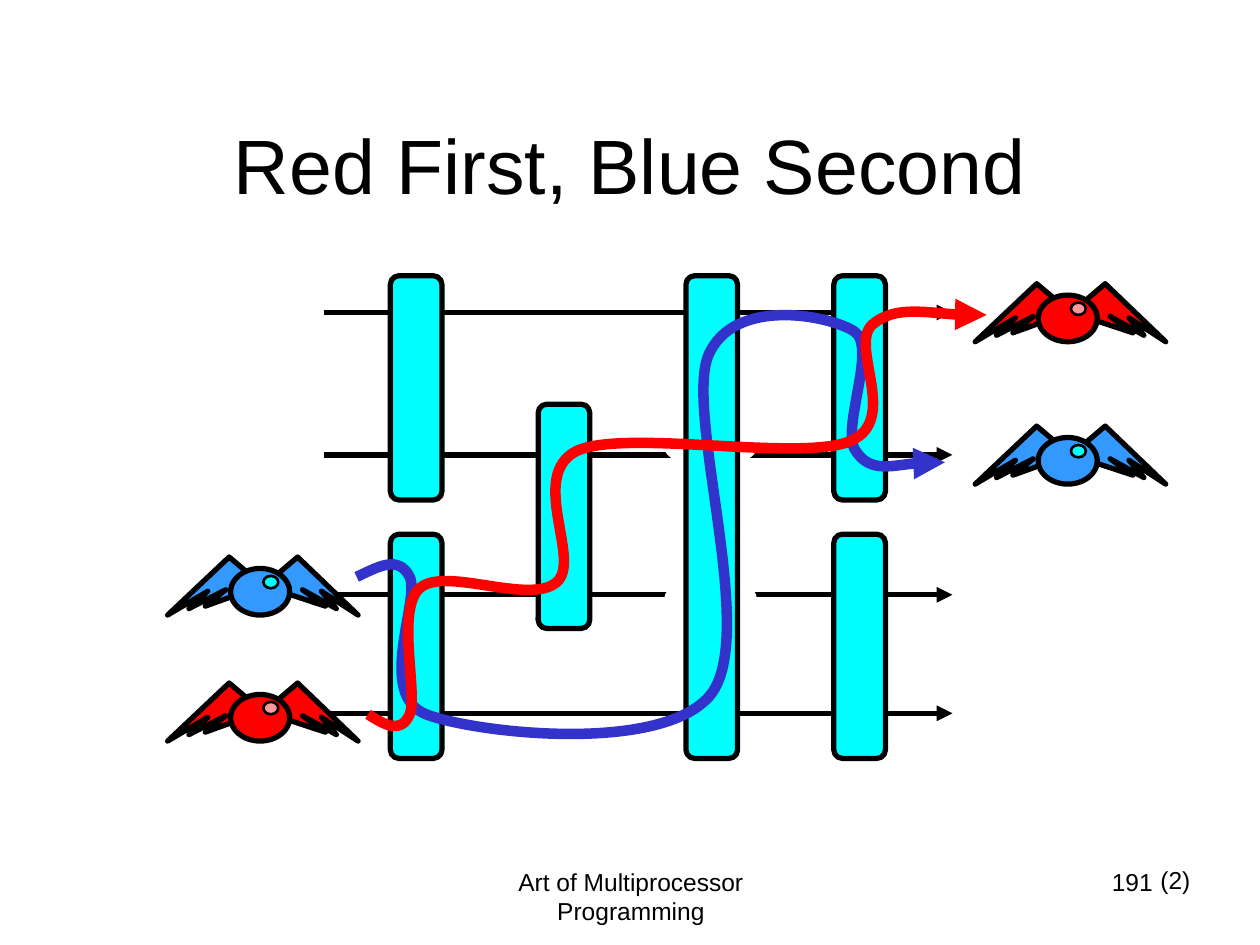
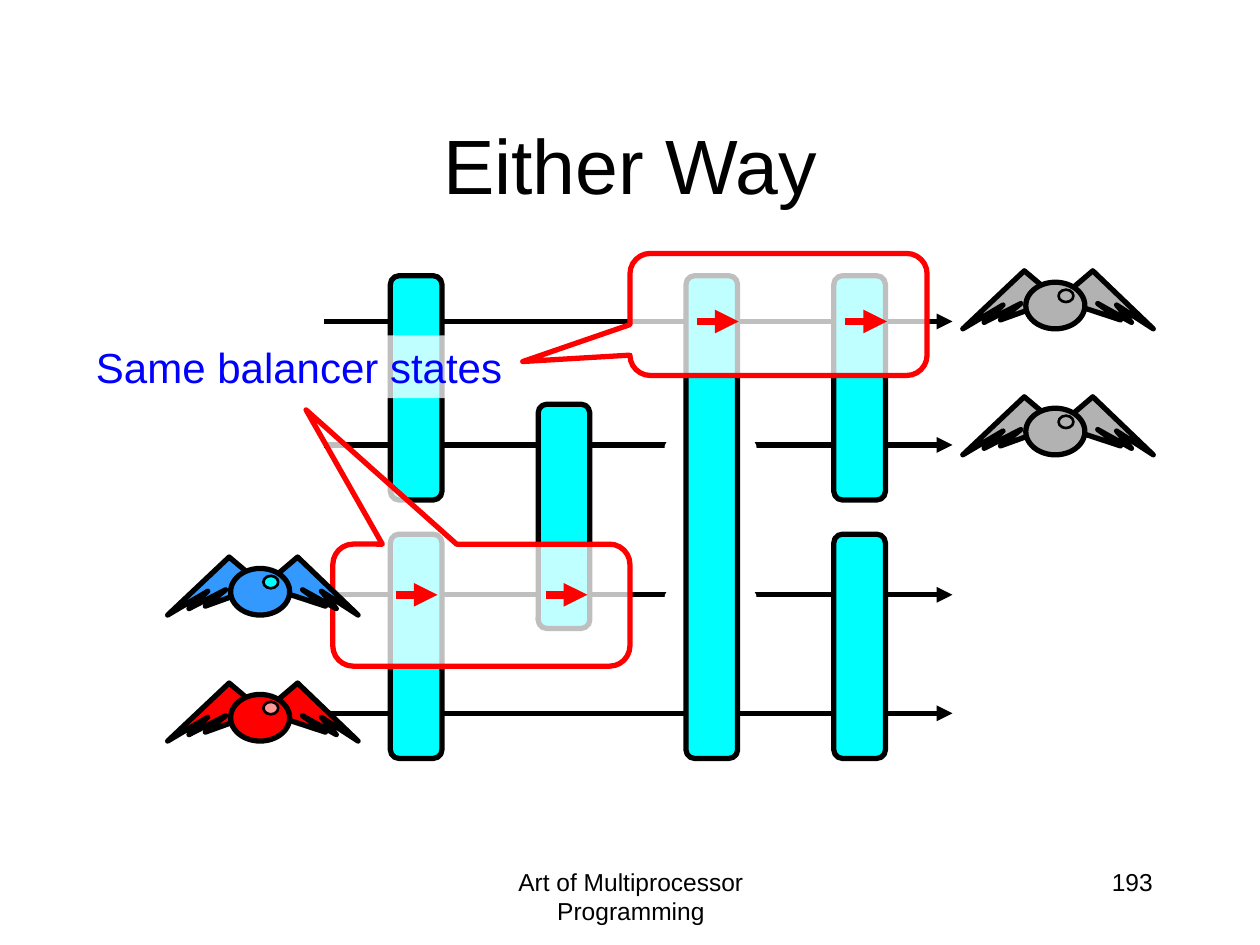
from pptx import Presentation
from pptx.dml import color
from pptx.enum import shapes, text
from pptx.oxml import ns, xmlchemy
from pptx import util as u

BLACK, WHITE, CYAN, RED, GRAY = "000000", "FFFFFF", "00FFFF", "FF0000", "B2B2B2"
BLUE_BIRD, RED_BIRD, GRAY_BIRD = ("3399FF", CYAN), (RED, "FF9999"), (GRAY, GRAY)
FONT = "Arial"

FOOTER = "Art of Multiprocessor Programming"
INPUT_BIRDS = [(3.38, 11.23, BLUE_BIRD), (3.38, 13.77, RED_BIRD)]
PAGES = [
    {
        "title": "Red First, Blue Second",
        "number": "191",
        "wires": (6.3, 9.17, 11.99, 14.38),
        "output_birds": [(19.66, 8.59, BLUE_BIRD), (19.66, 5.72, RED_BIRD)],
    },
    {
        "title": "Either Way",
        "number": "193",
        "wires": (6.48, 8.97, 11.99, 14.38),
        "output_birds": [(19.41, 5.46, GRAY_BIRD), (19.41, 8.0, GRAY_BIRD)],
    },
]

WIRE_LEFT, WIRE_RIGHT = 6.53, 19.2
WIRE_GAPS = (8.66, 11.68)
BALANCER_LEFT, BALANCER_STEP, BALANCER_WIDTH = 7.87, 2.98, 1.04
TOP, MIDDLE, BOTTOM = 5.56, 8.15, 10.77
SHORT, TALL = 4.52, 9.73
BALANCERS = [(0, BOTTOM, SHORT), (0, TOP, SHORT), (1, MIDDLE, SHORT),
             (2, TOP, TALL), (3, BOTTOM, SHORT), (3, TOP, SHORT)]

WINGS = [
    [(2.08, 0.46), (2.62, 0), (3.84, 1.17), (3.1, 0.69),
     (3.4, 1.04), (2.72, 0.66), (3.18, 0.99), (1.93, 0.58)],
    [(1.75, 0.43), (1.24, 0), (0, 1.17), (0.81, 0.69),
     (0.43, 1.04), (1.17, 0.66), (0.76, 0.99), (1.9, 0.58)],
]

BLUE_ROUTE = [
    (7.19, 11.63),
    (7.62, 11.43), (8.03, 11.18), (8.26, 11.63),
    (8.48, 12.09), (7.57, 14.0), (8.59, 14.4),
    (9.58, 14.78), (13.36, 15.21), (14.33, 14.0),
    (15.27, 12.8), (13.82, 8.41), (14.27, 7.19),
    (14.76, 5.97), (16.71, 6.35), (17.22, 6.68),
    (17.7, 6.99), (16.94, 8.66), (17.25, 9.09),
    (17.55, 9.55), (18.67, 9.27), (19.05, 9.32),
]
RED_ROUTE = [
    (7.42, 14.4),
    (7.75, 14.61), (8.08, 14.81), (8.26, 14.4),
    (8.43, 13.97), (7.98, 12.29), (8.46, 11.86),
    (8.97, 11.4), (10.69, 12.22), (11.23, 11.73),
    (11.73, 11.28), (10.64, 9.58), (11.63, 9.09),
    (12.62, 8.64), (16.15, 9.32), (17.15, 8.89),
    (18.14, 8.46), (17.12, 6.99), (17.58, 6.55),
    (18.03, 6.15), (19.41, 6.4), (19.89, 6.35),
]

LOWER_CALLOUT = {"left": 6.71, "top": 10.97, "tip": (-0.59, -1.6),
                 "arrows": (7.98, 11.0), "wire": 11.99}
UPPER_CALLOUT = {"left": 12.7, "top": 5.11, "tip": (-0.861, 0.386),
                 "arrows": (14.05, 17.04), "wire": 6.48}
ARROW_LENGTH = 0.84


def rgb(value):
    return color.RGBColor.from_string(value)


def place(*lengths):
    return [u.Cm(length) for length in lengths]


def outline(line, paint, width, arrow=False):
    line.color.rgb = rgb(paint)
    line.width = u.Pt(width)
    if arrow:
        tail = xmlchemy.OxmlElement("a:tailEnd")
        tail.set("type", "triangle")
        line._get_or_add_ln().append(tail)


def paint_shape(shape, fill=None, line=None, width=3, alpha=None, arrow=False):
    shape.shadow.inherit = False
    if fill:
        shape.fill.solid()
        shape.fill.fore_color.rgb = rgb(fill)
    else:
        shape.fill.background()
    if alpha:
        node = xmlchemy.OxmlElement("a:alpha")
        node.set("val", str(alpha * 1000))
        next(shape._element.spPr.iter(ns.qn("a:srgbClr"))).append(node)
    if line:
        outline(shape.line, line, width, arrow)
    else:
        shape.line.fill.background()
    return shape


def add_shape(target, kind, area, **style):
    shape = target.shapes.add_shape(kind, *place(*area))
    return paint_shape(shape, **style)


def add_outline(target, points, closed, **style):
    start, *rest = [place(*point) for point in points]
    builder = target.shapes.build_freeform(*start)
    builder.add_line_segments(rest, close=closed)
    return paint_shape(builder.convert_to_shape(), **style)


def add_arrow(target, left, right, height, paint=BLACK, width=3):
    arrow = target.shapes.add_connector(
        shapes.MSO_CONNECTOR.STRAIGHT, *place(left, height, right, height))
    outline(arrow.line, paint, width, arrow=True)
    arrow._element.spPr.append(xmlchemy.OxmlElement("a:effectLst"))


def write(box, words, size=14, paint=BLACK, align="CENTER", anchor="TOP", wrap=True):
    frame = box.text_frame
    frame.word_wrap = wrap
    frame.vertical_anchor = getattr(text.MSO_ANCHOR, anchor)
    para = frame.paragraphs[0]
    para.alignment = getattr(text.PP_ALIGN, align)
    span = para.add_run()
    span.text = words
    span.font.name = FONT
    span.font.size = u.Pt(size)
    span.font.color.rgb = rgb(paint)


def add_text(page, area, words, **style):
    write(page.shapes.add_textbox(*place(*area)), words, **style)


def add_bird(page, left, top, colors):
    body, eye = colors
    bird = page.shapes.add_group_shape()
    for wing in WINGS:
        points = [(left + x, top + y) for x, y in wing]
        add_outline(bird, points, True, fill=body, line=BLACK)
    oval = shapes.MSO_SHAPE.OVAL
    add_shape(bird, oval, (left + 1.27, top + 0.23, 1.19, 0.94), fill=body, line=BLACK)
    add_shape(bird, oval, (left + 1.93, top + 0.38, 0.3, 0.25),
              fill=eye, line=BLACK, width=1.5)


def add_route(page, points, paint):
    route = add_outline(page, points, False, line=paint, width=6, arrow=True)
    track = next(route._element.iter(ns.qn("a:path")))
    segments = track.findall(ns.qn("a:lnTo"))
    for first in range(0, len(segments), 3):
        curve = xmlchemy.OxmlElement("a:cubicBezTo")
        track.append(curve)
        for segment in segments[first:first + 3]:
            curve.append(segment[0])
            track.remove(segment)


def add_callout(page, callout):
    group = page.shapes.add_group_shape()
    balloon = add_shape(group, shapes.MSO_SHAPE.ROUNDED_RECTANGULAR_CALLOUT,
                        (callout["left"], callout["top"], 5.99, 2.46),
                        fill=WHITE, alpha=75, line=RED)
    for index, value in enumerate((*callout["tip"], 0.167)):
        balloon.adjustments[index] = value
    for left in callout["arrows"]:
        add_arrow(group, left, left + ARROW_LENGTH, callout["wire"], RED, 4.5)


def add_network(page, wires):
    top, second, third, bottom = wires
    for height in (second, third):
        add_arrow(page, WIRE_LEFT, WIRE_RIGHT, height)
    for height in WIRE_GAPS:
        add_shape(page, shapes.MSO_SHAPE.OVAL, (13.41, height, 1.83, 0.74),
                  fill=WHITE, line=WHITE, width=0.75)
    for height in (top, bottom):
        add_arrow(page, WIRE_LEFT, WIRE_RIGHT, height)
    for column, height, length in BALANCERS:
        left = BALANCER_LEFT + column * BALANCER_STEP
        balancer = add_shape(page, shapes.MSO_SHAPE.ROUNDED_RECTANGLE,
                             (left, height, BALANCER_WIDTH, length),
                             fill=CYAN, line=BLACK)
        balancer.adjustments[0] = 0.167


def add_page(deck, content):
    page = deck.slides.add_slide(deck.slide_layouts[5])
    title = page.shapes.title
    title.left, title.top, title.width, title.height = place(1.91, 1.7, 21.59, 3.18)
    write(title, content["title"], size=44, anchor="MIDDLE")
    add_text(page, (8.72, 17.35, 8, 1.27), FOOTER)
    add_text(page, (18.21, 17.35, 5.28, 1.27), content["number"], align="RIGHT")
    add_network(page, content["wires"])
    return page


def add_birds(page, birds):
    for bird in birds:
        add_bird(page, *bird)


def main():
    deck = Presentation()
    deck.slide_width, deck.slide_height = place(25.4, 19.05)
    first, second = PAGES

    page = add_page(deck, first)
    add_birds(page, INPUT_BIRDS)
    add_route(page, BLUE_ROUTE, "3333CC")
    add_route(page, RED_ROUTE, RED)
    add_birds(page, first["output_birds"])
    add_text(page, (22.68, 17.32, 2.03, 0.84), "(2)")

    page = add_page(deck, second)
    add_birds(page, second["output_birds"])
    add_callout(page, LOWER_CALLOUT)
    add_birds(page, INPUT_BIRDS)
    label = add_shape(page, shapes.MSO_SHAPE.RECTANGLE, (1.52, 6.76, 9.02, 1.27),
                      fill=WHITE, alpha=75)
    write(label, "Same balancer states", size=24, paint="0000FF", wrap=False)
    add_callout(page, UPPER_CALLOUT)

    deck.save("out.pptx")


if __name__ == "__main__":
    main()
